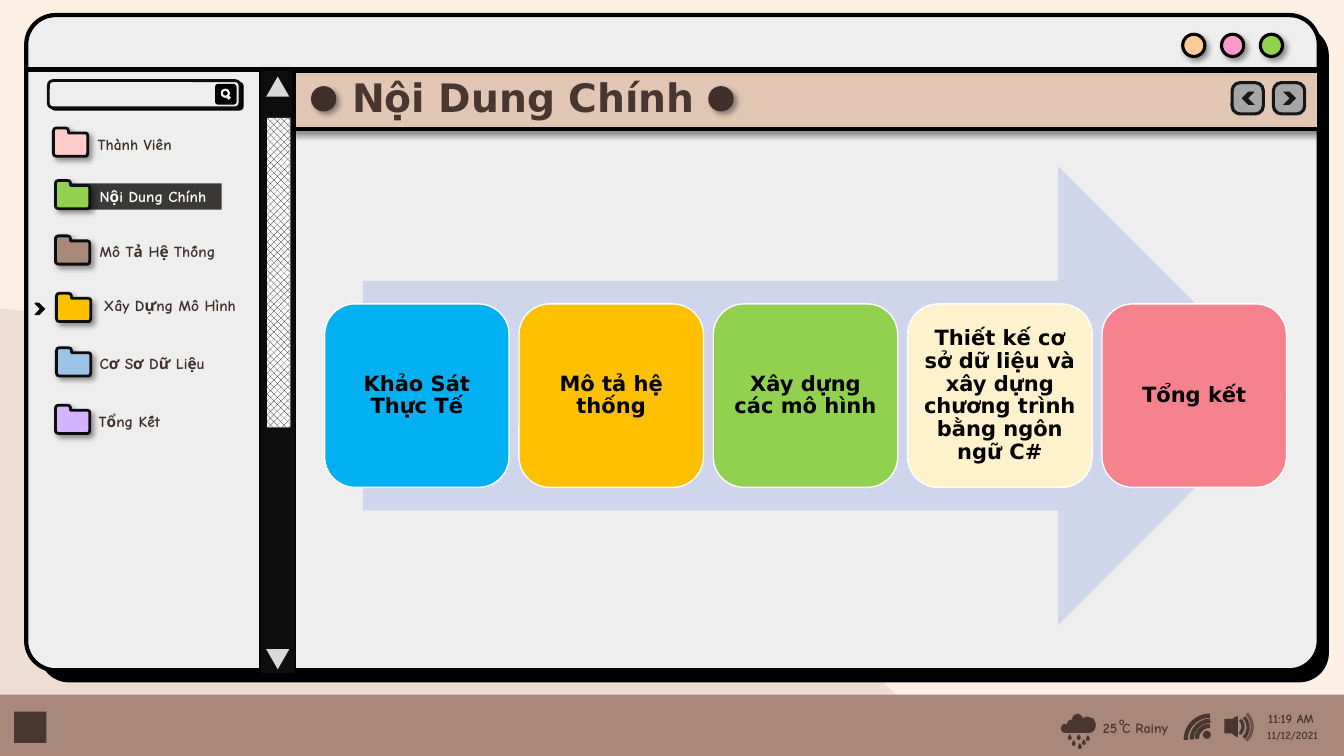
from pptx import Presentation
from pptx.dml.color import RGBColor
from pptx.enum.dml import MSO_PATTERN_TYPE as Pat
from pptx.enum.shapes import MSO_CONNECTOR as Con, MSO_SHAPE as S
from pptx.enum.text import MSO_ANCHOR as Anchor, MSO_AUTO_SIZE as Auto, PP_ALIGN as Align
from pptx.oxml.ns import qn
from pptx.util import Inches, Pt
from lxml.etree import SubElement

INK, DARK, BLACK, WHITE, GRAY = "47372F", "3F3029", "000000", "FFFFFF", "EEEEEE"
BODY, HEAD = "Comic Neue", "DejaVu Sans"
FOLDERS = [  # folder x, y, fill, label, label x, y, width, wrap
    (0.53, 1.27, "FFCCCC", "Thành Viên", 0.87, 1.29, 1.03, False),
    (0.55, 1.79, "92D050", "Nội Dung Chính", 0.89, 1.81, 1.35, False),
    (0.55, 2.34, "A88878", "Mô Tả Hệ Thống", 0.89, 2.35, 1.46, False),
    (0.56, 2.91, "FFC000", "Xây Dựng Mô Hình", 0.93, 2.89, 1.67, True),
    (0.56, 3.45, "9DC3E6", "Cơ Sơ Dữ Liệu", 0.89, 3.46, 1.33, False),
    (0.55, 4.02, "D4B4FE", "Tổng Kết", 0.88, 4.04, 0.88, False),
]
ACTIVE = 1
STEPS = [("Khảo Sát Thực Tế", "00B0F0"), ("Mô tả hệ thống", "FFC000"),
         ("Xây dựng các mô hình", "92D050"),
         ("Thiết kế cơ sở dữ liệu và xây dựng chương trình bằng ngôn ngữ C#", "FFF2CC"),
         ("Tổng kết", "F5828C")]
# Outlines: a pair is a line end, six numbers are a cubic curve.
TAB = [(0.03, 0), (0.12, 0), (0.14, 0, 0.15, 0.01, 0.15, 0.03), (0.15, 0.05), (0.32, 0.05),
       (0.33, 0.05, 0.34, 0.06, 0.34, 0.07), (0.34, 0.25), (0.34, 0.27, 0.33, 0.28, 0.32, 0.28),
       (0.03, 0.28), (0.01, 0.28, 0, 0.27, 0, 0.25), (0, 0.03), (0, 0.01, 0.01, 0, 0.03, 0)]
CLOUD = [(0.17, 0), (0.19, 0, 0.21, 0.02, 0.22, 0.04), (0.22, 0.05), (0.23, 0.04),
         (0.24, 0.03, 0.26, 0.03, 0.27, 0.03), (0.32, 0.03, 0.35, 0.06, 0.35, 0.11),
         (0.35, 0.13, 0.34, 0.15, 0.33, 0.17), (0.32, 0.18, 0.3, 0.19, 0.29, 0.19), (0.04, 0.19),
         (0.03, 0.19, 0.01, 0.18, 0.01, 0.17), (0, 0.15), (0, 0.12, 0.02, 0.1, 0.04, 0.1),
         (0.06, 0.11), (0.06, 0.08, 0.08, 0.06, 0.1, 0.06), (0.11, 0.06), (0.11, 0.05),
         (0.12, 0.02, 0.14, 0, 0.17, 0)]
SPEAKER = [(0.12, 0), (0.12, 0.2), (0.07, 0.16), (0, 0.16), (0, 0.03), (0.07, 0.03)]
HILL = [(0, 0), (2.57, -0.08, 0.69, 2.9, 4.02, 2.85), (6.77, 2.81, 8.08, 2.69, 9.46, 4.44),
        (0, 4.44)]

prs = Presentation()
prs.slide_width, prs.slide_height = Inches(13.33), Inches(7.5)
slide = prs.slides.add_slide(prs.slide_layouts[6])
parts = slide.shapes


def rgb(code):
    return RGBColor.from_string(code)


def paint(item, fill=None, line=None, wide=1, shade=None):
    """Style a shape; shade is the shadow's angle in degrees."""
    if fill:
        item.fill.solid()
        item.fill.fore_color.rgb = rgb(fill)
    else:
        item.fill.background()
    if line:
        item.line.color.rgb = rgb(line)
        item.line.width = Pt(wide)
    else:
        item.line.fill.background()
    item.shadow.inherit = False
    if shade is not None:
        glow = SubElement(item._element.spPr.find(qn("a:effectLst")), qn("a:outerShdw"),
                          blurRad=str(Pt(4)), dist=str(Pt(3)), dir=str(shade * 60000),
                          algn="tl", rotWithShape="0")
        tint = SubElement(glow, qn("a:srgbClr"), val=BLACK)
        SubElement(tint, qn("a:alpha"), val="40000")
    return item


def shape(kind, x, y, w, h, fill=None, adj=None, rot=0, flip=None, **look):
    item = parts.add_shape(kind, Inches(x), Inches(y), Inches(w), Inches(h))
    if adj is not None:
        item.adjustments[0] = adj
    item.rotation = rot
    if flip:
        item._element.spPr.xfrm.set(flip, "1")
    return paint(item, fill, **look)


def weave(item, kind, fore, back):
    item.fill.patterned()
    item.fill.pattern = kind
    item.fill.fore_color.rgb, item.fill.back_color.rgb = rgb(fore), rgb(back)


def outline(x, y, path, fill, cuts=2, **look):
    """Draw a closed outline, each curve in the given number of cuts."""
    pts = [path[0]]
    for seg in path[1:]:
        if len(seg) == 2:
            pts.append(seg)
            continue
        axes = list(zip(pts[-1], seg[:2], seg[2:4], seg[4:]))
        for t in (i / cuts for i in range(1, cuts + 1)):
            u = 1 - t
            pts.append(tuple(a * u**3 + 3 * b * u * u * t + 3 * c * u * t * t + d * t**3
                             for a, b, c, d in axes))
    spots = [(Inches(x + px), Inches(y + py)) for px, py in pts]
    pen = parts.build_freeform(*spots[0], scale=1.0)
    pen.add_line_segments(spots[1:], close=True)
    return paint(pen.convert_to_shape(), fill, **look)


def rule(x1, y1, x2, y2, color, wide):
    item = parts.add_connector(Con.STRAIGHT, *map(Inches, (x1, y1, x2, y2)))
    item.line.color.rgb = rgb(color)
    item.line.width = Pt(wide)
    SubElement(item._element.spPr, qn("a:effectLst"))


def write(frame, words, size, color, face=BODY, align=Align.LEFT):
    para = frame.paragraphs[0]
    para.alignment = align
    run = para.add_run()
    run.text = words
    for key, val in dict(size=Pt(size), name=face, bold=True).items():
        setattr(run.font, key, val)
    run.font.color.rgb = rgb(color)


def label(x, y, w, h, words, size, color=INK, wrap=True, **kind):
    frame = parts.add_textbox(Inches(x), Inches(y), Inches(w), Inches(h)).text_frame
    frame.word_wrap, frame.auto_size = wrap, Auto.SHAPE_TO_FIT_TEXT
    write(frame, words, size, color, **kind)


def taskbar(x, y, w, h):
    shape(S.RECTANGLE, x, y, w, h, "A88878")
    shape(S.RECTANGLE, x + 0.14, y + 0.17, 0.32, 0.31, INK)
    outline(x + 10.52, y + 0.19, CLOUD, INK)
    for dx, dy in [(0.59, 0.41), (0.63, 0.47), (0.68, 0.41), (0.73, 0.46), (0.77, 0.42),
                   (0.69, 0.5)]:
        shape(S.TEAR, x + 10 + dx, y + dy, 0.04, 0.04, INK, adj=1.35, rot=315)
    label(x + 10.84, y + 0.2, 0.94, 0.27, "25 C Rainy", 10, wrap=False)
    label(x + 11, y + 0.15, 0.26, 0.24, "o", 8, wrap=False)
    shape(S.OVAL, x + 11.93, y + 0.36, 0.08, 0.08, INK)
    for dx, dy, d in [(11.87, 0.31, 0.26), (11.82, 0.26, 0.37), (11.76, 0.21, 0.48)]:
        shape(S.ARC, x + dx, y + dy, d, d, flip="flipH", line=INK, wide=3)
    outline(x + 12.15, y + 0.22, SPEAKER, INK, line=INK)
    for dx, dy, d, tone in [(12.13, 0.22, 0.2, INK), (12.09, 0.18, 0.29, INK),
                            (12.04, 0.13, 0.38, "6D5447")]:
        shape(S.ARC, x + dx, y + dy, d, d, rot=136, flip="flipH", line=tone, wide=2.25)
    label(x + 12.48, y + 0.11, 0.89, 0.25, "11:19 AM", 9)
    label(x + 12.47, y + 0.29, 0.89, 0.24, "11/12/2021", 8)


def window(x, y, w, h):
    shape(S.ROUNDED_RECTANGLE, x + 0.13, y + 0.11, w - 0.03, h + 0.01, BLACK, adj=0.045)
    pane = shape(S.ROUNDED_RECTANGLE, x, y, w, h, GRAY, adj=0.045, line=BLACK, wide=3)
    weave(pane, Pat.DARK_VERTICAL, GRAY, WHITE)
    rule(x, y + 0.54, x + w, y + 0.54, BLACK, 3)
    for i, tone in enumerate(("FFCC99", "FF99CC", "92D050")):
        shape(S.OVAL, x + 11.47 + i * 0.385, y + 0.19, 0.22, 0.22, tone, line=BLACK, wide=2.25,
              shade=45)


def scroll(x, y, w, h):
    shape(S.RECTANGLE, x, y, w, h, "0D0D0D", line=BLACK)
    shape(S.ISOSCELES_TRIANGLE, x + 0.06, y + 0.06, 0.23, 0.2, "D9D9D9")
    shape(S.ISOSCELES_TRIANGLE, x + 0.06, y + h - 0.24, 0.23, 0.2, "D9D9D9", flip="flipV")
    thumb = shape(S.RECTANGLE, x + 0.07, y + 0.47, 0.23, 3.07, WHITE)
    weave(thumb, Pat.PERCENT_50, BLACK, WHITE)


def search(x, y, w, h):
    shape(S.ROUNDED_RECTANGLE, x + 0.03, y + 0.02, w, h, BLACK, adj=0.12, line=BLACK)
    shape(S.ROUNDED_RECTANGLE, x, y, w, h, GRAY, adj=0.17, line="0D0D0D", wide=2)
    shape(S.ROUNDED_RECTANGLE, x + w - 0.24, y + 0.04, 0.2, 0.19, BLACK, adj=0.12, line=BLACK)
    shape(S.OVAL, x + w - 0.18, y + 0.09, 0.07, 0.07, line=WHITE, wide=1.5)
    rule(x + w - 0.13, y + 0.15, x + w - 0.1, y + 0.18, GRAY, 2.25)


def sidebar(x, y):
    search(x + 0.22, y + 0.1, 1.9, 0.27)
    dx, dy = x - 0.26, y - 0.7
    for i, (fx, fy, tone, words, tx, ty, tw, wrap) in enumerate(FOLDERS):
        if i == ACTIVE:
            shape(S.RECTANGLE, dx + 0.63, dy + fy + 0.03, 1.57, 0.26, "3B3838")
        outline(dx + fx, dy + fy, TAB, tone, line="0D0D0D", wide=2, shade=45)
        label(dx + tx, dy + ty, tw, 0.29, words, 11, WHITE if i == ACTIVE else DARK, wrap)
    shape(S.CHEVRON, x + 0.09, y + 2.31, 0.09, 0.11, BLACK, adj=0.61, line="0D0D0D")


def header(x, y, w, h):
    shape(S.RECTANGLE, x, y, w, h, "E2C6B4", line=BLACK, wide=3, shade=90)
    label(x + 0.3, y - 0.02, 3.94, 0.57, "Nội Dung Chính", 28, face=HEAD, align=Align.CENTER)
    for dx in (0.18, 4.12):
        shape(S.OVAL, x + dx, y + 0.17, 0.22, 0.22, DARK, line=DARK, wide=2.25, shade=45)
    for dx, flip in ((0.86, "flipH"), (0.45, None)):
        bx = x + w - dx
        shape(S.ROUNDED_RECTANGLE, bx, y + 0.12, 0.31, 0.31, "A6A6A6", adj=0.255,
              line="181717", wide=2.25)
        shape(S.CHEVRON, bx + 0.095, y + 0.21, 0.13, 0.13, "181717", flip=flip)


def flow(x, y, w, h):
    """Arrow with a row of step cards across its middle."""
    shape(S.RIGHT_ARROW, x + 0.38, y, w - 0.37, h, "CFD5EA")
    wide, tall = 1.83, 1.82
    pitch = (w - wide) / (len(STEPS) - 1)
    look = {"margin_" + side: Inches(0.06) for side in ("left", "right", "top", "bottom")}
    look.update(word_wrap=True, vertical_anchor=Anchor.MIDDLE)
    for i, (words, tone) in enumerate(STEPS):
        card = shape(S.ROUNDED_RECTANGLE, x + i * pitch, y + (h - tall) / 2, wide, tall, tone,
                     line=WHITE)
        frame = card.text_frame
        for key, val in look.items():
            setattr(frame, key, val)
        write(frame, words, 15, BLACK, HEAD, Align.CENTER)
        frame.paragraphs[0].line_spacing = 0.9


def main():
    back = slide.background.fill
    back.solid()
    back.fore_color.rgb = rgb("FFF0E5")
    outline(0, 3.06, HILL, "EEDDD2", cuts=10)
    taskbar(0, 6.89, 13.33, 0.61)
    window(0.26, 0.15, 12.82, 6.5)
    scroll(2.58, 0.7, 0.35, 5.98)
    sidebar(0.26, 0.7)
    header(2.92, 0.7, 10.16, 0.58)
    flow(3.22, 1.65, 9.54, 4.55)
    prs.save("out.pptx")


if __name__ == "__main__":
    main()
